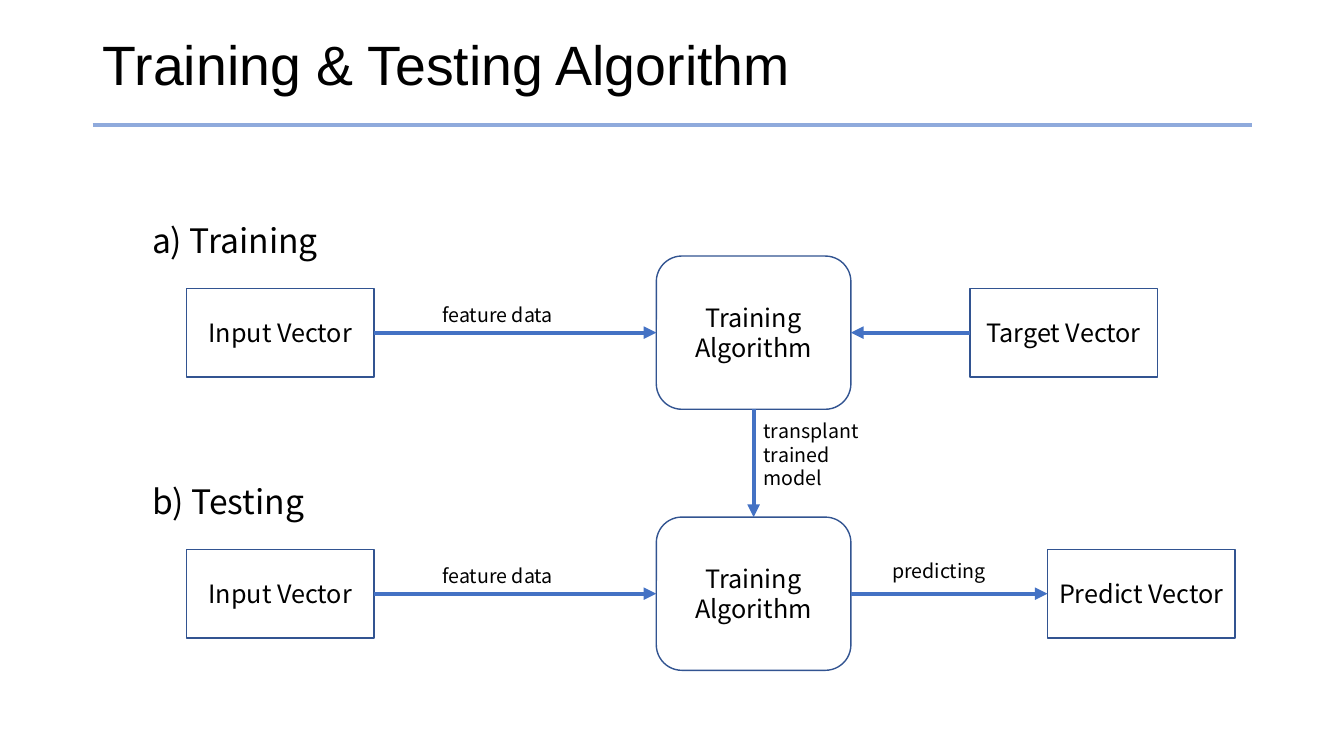
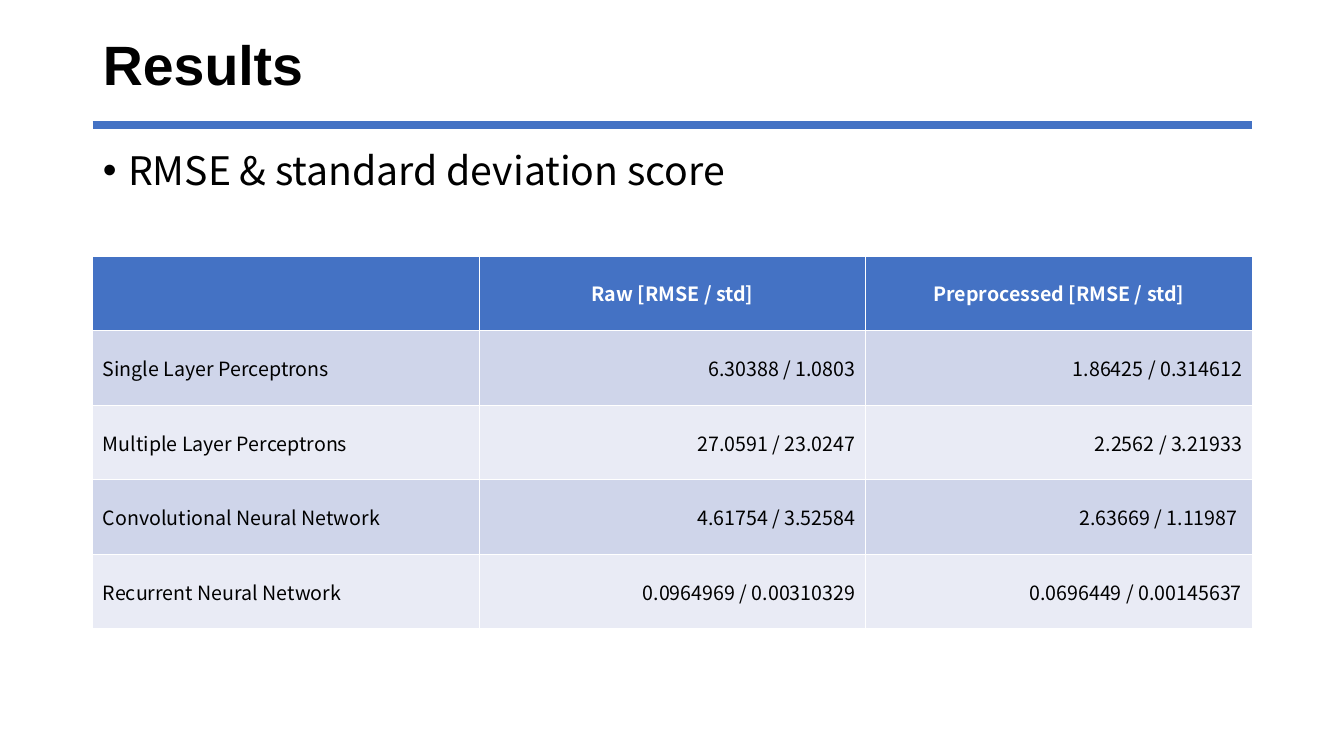
from pptx import Presentation
from pptx.dml.color import RGBColor
from pptx.enum.shapes import MSO_CONNECTOR, MSO_SHAPE
from pptx.enum.text import MSO_ANCHOR, MSO_AUTO_SIZE, PP_ALIGN
from pptx.oxml.ns import qn
from pptx.util import Inches, Pt
from lxml.etree import SubElement

COLORS = {
    "text": "000000", "white": "FFFFFF", "accent": "4472C4",
    "soft rule": "8FAADC", "outline": "325491",
    "odd row": "CFD5EA", "even row": "E9EBF5",
}
COLORS = {key: RGBColor.from_string(value) for key, value in COLORS.items()}
BODY_FONT = "Noto Sans CJK KR"
LEFT, WIDTH = 0.92, 11.5

TITLE = {"name": "Arial", "size": Pt(39.6), "bold": False}
BULLET = {"name": BODY_FONT, "size": Pt(28)}
HEADING = {"name": BODY_FONT, "size": Pt(24)}
BOX = {"name": BODY_FONT, "size": Pt(18)}
SMALL = {"name": BODY_FONT, "size": Pt(14), "bold": False}


def write(frame, text, style, align=PP_ALIGN.LEFT, color="text"):
    """Fill a text frame and format each of its paragraphs."""
    frame.text = text
    frame.word_wrap = True
    for paragraph in frame.paragraphs:
        paragraph.alignment = align
        for run in paragraph.runs:
            for attribute, value in style.items():
                setattr(run.font, attribute, value)
            run.font.color.rgb = COLORS[color]


def draw_line(slide, start, end, color, width, arrow=False):
    """Draw a straight line between two (x, y) points in inches."""
    line = slide.shapes.add_connector(
        MSO_CONNECTOR.STRAIGHT, *[Inches(v) for v in (*start, *end)])
    line.line.color.rgb = COLORS[color]
    line.line.width = Pt(width)
    if arrow:
        SubElement(line.line._get_or_add_ln(), qn("a:tailEnd"), type="triangle")
    SubElement(line._element.spPr, qn("a:effectLst"))


prs = Presentation()
prs.slide_width, prs.slide_height = Inches(13.33), Inches(7.5)

# Titles and the rules below them
slides = []
for layout, heading, bold, rule_color, rule_width in [
    (5, "Training & Testing Algorithm", False, "soft rule", 3.16),
    (1, "Results", True, "accent", 6.13),
]:
    slide = prs.slides.add_slide(prs.slide_layouts[layout])
    title = slide.shapes.title
    title.left, title.top = Inches(LEFT), Inches(0.3)
    title.width, title.height = Inches(WIDTH), Inches(0.75)
    write(title.text_frame, heading, TITLE | {"bold": bold})
    title.text_frame.auto_size = MSO_AUTO_SIZE.NONE
    title.text_frame.vertical_anchor = MSO_ANCHOR.MIDDLE
    title.text_frame.paragraphs[0].line_spacing = 0.9
    draw_line(slide, (LEFT, 1.24), (LEFT + WIDTH, 1.24), rule_color, rule_width)
    slides.append(slide)
flow, results = slides

# Flow diagram: both stages share columns, the second sits one step lower
TRAIN_Y, STEP = 3.3, 2.59
TEST_Y = TRAIN_Y + STEP
VECTOR_W, VECTOR_H = 1.86, 0.88
MODEL_W, MODEL_H = 1.93, 1.52
INPUT_X, MODEL_X, TARGET_X, PREDICT_X = 1.85, 6.51, 9.62, 10.39
INPUT_END, MODEL_END = INPUT_X + VECTOR_W, MODEL_X + MODEL_W
MODEL_MID = MODEL_X + MODEL_W / 2

nodes = [
    ("Target Vector", MSO_SHAPE.RECTANGLE, TARGET_X, TRAIN_Y, VECTOR_W, VECTOR_H),
    ("Predict Vector", MSO_SHAPE.RECTANGLE, PREDICT_X, TEST_Y, VECTOR_W, VECTOR_H),
]
arrows = [
    ((TARGET_X, TRAIN_Y), (MODEL_END, TRAIN_Y)),
    ((MODEL_END, TEST_Y), (PREDICT_X, TEST_Y)),
    ((MODEL_MID, TRAIN_Y + MODEL_H / 2), (MODEL_MID, TEST_Y - MODEL_H / 2)),
]
labels = [
    ("transplant trained\nmodel", MODEL_MID, 4.11, 1.66, 0.81, SMALL),
    ("predicting", 8.75, 5.5, 1.66, 0.34, SMALL),
]
for stage, y in [("a) Training", TRAIN_Y), ("b) Testing", TEST_Y)]:
    nodes += [
        ("Input Vector", MSO_SHAPE.RECTANGLE, INPUT_X, y, VECTOR_W, VECTOR_H),
        ("Training Algorithm", MSO_SHAPE.ROUNDED_RECTANGLE, MODEL_X, y, MODEL_W, MODEL_H),
    ]
    arrows.append(((INPUT_END, y), (MODEL_X, y)))
    labels += [
        (stage, 1.41, y - 1.17, 1.98, 0.5, HEADING),
        ("feature data", 4.29, y - 0.34, 1.66, 0.34, SMALL),
    ]

for text, outline, x, middle, width, height in nodes:
    node = flow.shapes.add_shape(
        outline, Inches(x), Inches(middle - height / 2), Inches(width), Inches(height))
    node.shadow.inherit = False
    node.fill.background()
    node.line.color.rgb = COLORS["outline"]
    node.line.width = Pt(1)
    node.text_frame.vertical_anchor = MSO_ANCHOR.MIDDLE
    write(node.text_frame, text, BOX, PP_ALIGN.CENTER)

for start, end in arrows:
    draw_line(flow, start, end, "accent", 3, arrow=True)

for text, x, y, width, height, style in labels:
    label = flow.shapes.add_textbox(Inches(x), Inches(y), Inches(width), Inches(height))
    write(label.text_frame, text, style)

# Results: bullet
body = results.placeholders[1]
body.left, body.top = Inches(LEFT), Inches(1.45)
body.width, body.height = Inches(WIDTH), Inches(4.76)
write(body.text_frame, "RMSE & standard deviation score", BULLET)
body.text_frame.auto_size = MSO_AUTO_SIZE.NONE
bullet = body.text_frame.paragraphs[0]
bullet.line_spacing, bullet.space_before = 0.9, Pt(10)
bullet_format = bullet._p.get_or_add_pPr()
bullet_format.set("marL", str(Inches(0.25)))
bullet_format.set("indent", str(Inches(-0.25)))
SubElement(bullet_format, qn("a:buChar"), char="•")

# Results: score table
scores = [
    ("", "Raw [RMSE / std]", "Preprocessed [RMSE / std]"),
    ("Single Layer Perceptrons", "6.30388 / 1.0803", "1.86425 / 0.314612"),
    ("Multiple Layer Perceptrons", "27.0591 / 23.0247", "2.2562 / 3.21933"),
    ("Convolutional Neural Network", "4.61754 / 3.52584", "2.63669 / 1.11987 "),
    ("Recurrent Neural Network", "0.0964969 / 0.00310329", "0.0696449 / 0.00145637"),
]
table = results.shapes.add_table(
    len(scores), len(scores[0]), Inches(LEFT), Inches(2.54),
    Inches(WIDTH), Inches(0.74 * len(scores))).table
for r, row in enumerate(scores):
    for c, text in enumerate(row):
        cell = table.cell(r, c)
        cell.vertical_anchor = MSO_ANCHOR.MIDDLE
        cell.fill.solid()
        if r == 0:
            cell.fill.fore_color.rgb = COLORS["accent"]
            write(cell.text_frame, text, SMALL | {"bold": True}, PP_ALIGN.CENTER, "white")
        else:
            cell.fill.fore_color.rgb = COLORS["odd row" if r % 2 else "even row"]
            write(cell.text_frame, text, SMALL, PP_ALIGN.RIGHT if c else PP_ALIGN.LEFT)

prs.save("out.pptx")
